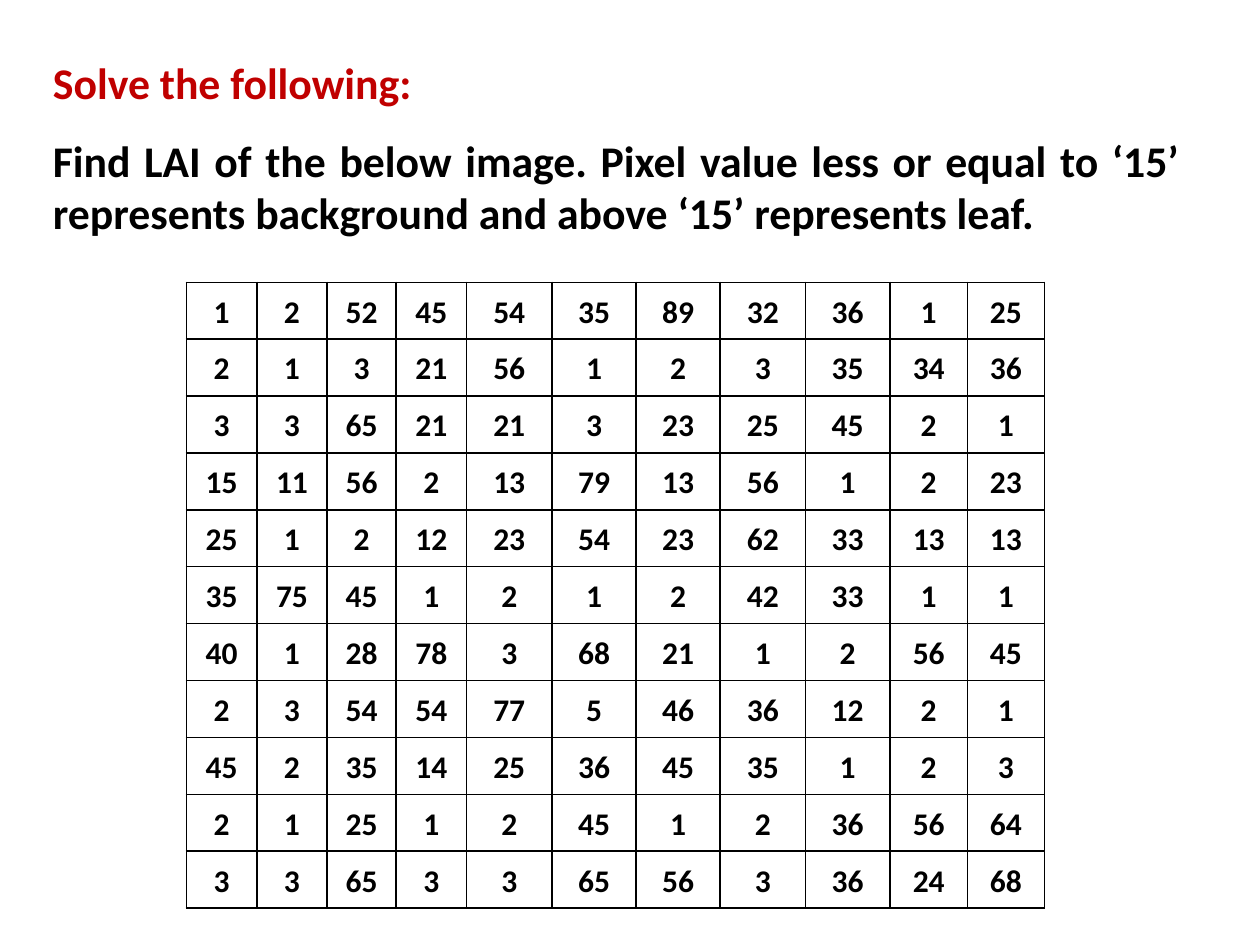
from lxml import etree
from pptx import Presentation
from pptx.dml.color import RGBColor
from pptx.enum.text import MSO_ANCHOR, MSO_AUTO_SIZE, PP_ALIGN
from pptx.oxml.ns import qn
from pptx.util import Inches, Pt

CENTER, JUSTIFY = PP_ALIGN.CENTER, PP_ALIGN.JUSTIFY
MIDDLE, FIXED = MSO_ANCHOR.MIDDLE, MSO_AUTO_SIZE.NONE
TITLE_ONLY = 5
FONT = "Calibri"
COLORS = {"head": "C00000", "text": "000000", "line": "000000", "back": "FFFFFF"}

HEAD = "Solve the following:"
TASK = ("Find LAI of the below image. Pixel value less or equal to ‘15’ "
        "represents background and above ‘15’ represents leaf.")
WIDTHS = [0.56, 0.56, 0.55, 0.56, 0.68, 0.67, 0.67, 0.68, 0.67, 0.62, 0.61]
PIXELS = [
    [1, 2, 52, 45, 54, 35, 89, 32, 36, 1, 25],
    [2, 1, 3, 21, 56, 1, 2, 3, 35, 34, 36],
    [3, 3, 65, 21, 21, 3, 23, 25, 45, 2, 1],
    [15, 11, 56, 2, 13, 79, 13, 56, 1, 2, 23],
    [25, 1, 2, 12, 23, 54, 23, 62, 33, 13, 13],
    [35, 75, 45, 1, 2, 1, 2, 42, 33, 1, 1],
    [40, 1, 28, 78, 3, 68, 21, 1, 2, 56, 45],
    [2, 3, 54, 54, 77, 5, 46, 36, 12, 2, 1],
    [45, 2, 35, 14, 25, 36, 45, 35, 1, 2, 3],
    [2, 1, 25, 1, 2, 45, 1, 2, 36, 56, 64],
    [3, 3, 65, 3, 3, 65, 56, 3, 36, 24, 68],
]


def color(name):
    return RGBColor.from_string(COLORS[name])


def style(par, size, name, align):
    par.alignment = align
    font = par.font
    font.name, font.size, font.bold = FONT, Pt(size), True
    font.color.rgb = color(name)


def add_task(slide, left, top, width, height):
    """Fill the title with the heading and the task below it."""
    box = slide.shapes.title
    box.left, box.top = Inches(left), Inches(top)
    box.width, box.height = Inches(width), Inches(height)
    box.fill.solid()
    box.fill.fore_color.rgb = color("back")
    frame = box.text_frame
    frame.word_wrap, frame.auto_size = True, FIXED
    frame.vertical_anchor = MIDDLE
    head, task = frame.paragraphs[0], frame.add_paragraph()
    head.text, task.text = HEAD, TASK
    style(head, 25, "head", JUSTIFY)
    style(task, 25, "text", JUSTIFY)
    task.space_before = Pt(14.6)


def add_border(cell):
    props = cell._tc.get_or_add_tcPr()
    for side in ("lnL", "lnR", "lnT", "lnB"):
        line = etree.SubElement(props, qn(f"a:{side}"), w=str(Pt(1)))
        fill = etree.SubElement(line, qn("a:solidFill"))
        etree.SubElement(fill, qn("a:srgbClr"), val=COLORS["line"])


def fill_cell(cell, value):
    cell.margin_left = cell.margin_right = Inches(0.04)
    cell.margin_top = cell.margin_bottom = Inches(0.04)
    add_border(cell)
    cell.fill.background()
    cell.text = str(value)
    par = cell.text_frame.paragraphs[0]
    style(par, 18, "text", CENTER)
    par.line_spacing = 1.15


def add_grid(slide, left, top, width, height):
    """Draw the pixel values, with columns scaled to the given width."""
    frame = slide.shapes.add_table(len(PIXELS), len(WIDTHS), Inches(left),
                                   Inches(top), Inches(width), Inches(height))
    table = frame.table
    table.first_row = table.horz_banding = False
    for col, share in zip(table.columns, WIDTHS):
        col.width = Inches(width * share / sum(WIDTHS))
    for row, values in zip(table.rows, PIXELS):
        row.height = Inches(height / len(PIXELS))
        for cell, value in zip(row.cells, values):
            fill_cell(cell, value)


def main():
    deck = Presentation()
    deck.slide_width, deck.slide_height = Inches(10), Inches(7.5)
    slide = deck.slides.add_slide(deck.slide_layouts[TITLE_ONLY])
    add_task(slide, 0.32, 0.38, 9.14, 1.57)
    add_grid(slide, 1.48, 2.24, 6.81, 4.97)
    deck.save("out.pptx")


if __name__ == "__main__":
    main()
